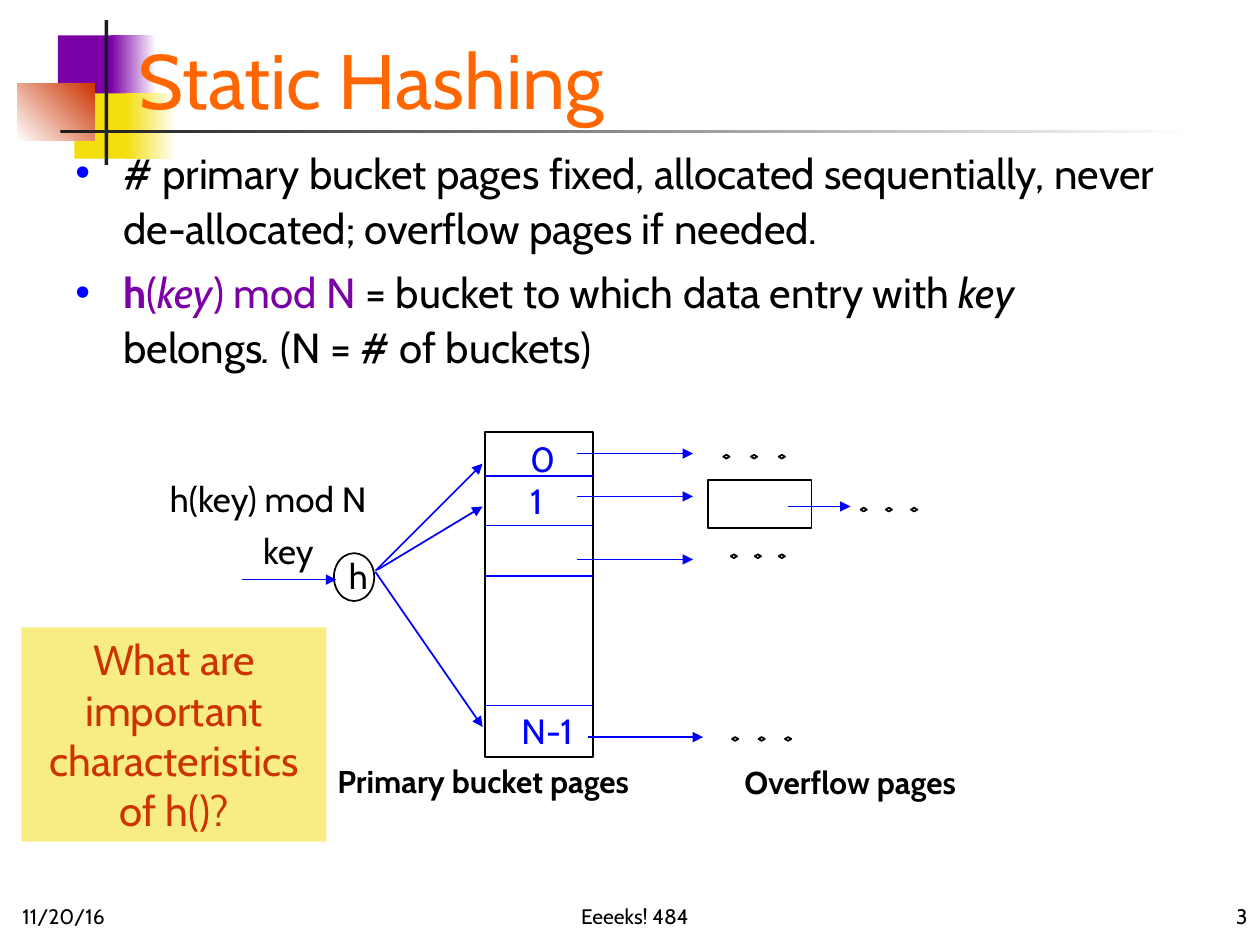
from lxml import etree
from pptx import Presentation
from pptx.dml.color import RGBColor
from pptx.enum.shapes import MSO_CONNECTOR, MSO_SHAPE
from pptx.enum.text import MSO_ANCHOR, MSO_AUTO_SIZE, PP_ALIGN
from pptx.oxml.ns import qn
from pptx.util import Inches, Pt

RECTANGLE, OVAL, DIAMOND = MSO_SHAPE.RECTANGLE, MSO_SHAPE.OVAL, MSO_SHAPE.DIAMOND
STRAIGHT = MSO_CONNECTOR.STRAIGHT
TOP, MIDDLE, BOTTOM = MSO_ANCHOR.TOP, MSO_ANCHOR.MIDDLE, MSO_ANCHOR.BOTTOM
LEFT, CENTER, RIGHT = PP_ALIGN.LEFT, PP_ALIGN.CENTER, PP_ALIGN.RIGHT
FIT_SHAPE = MSO_AUTO_SIZE.SHAPE_TO_FIT_TEXT
BLACK, WHITE, BLUE, PURPLE = "000000", "FFFFFF", "0000FF", "7B00A6"
YELLOW, RED, ORANGE, CHARCOAL = "F3DD0D", "CC3300", "FF6600", "1C1C1C"


def color(value):
    return RGBColor.from_string(value)


def write(para, text, size, value, bold=False, italic=False):
    span = para.add_run()
    span.text = text
    font = span.font
    font.name, font.size = "Cabin", Pt(size)
    font.bold, font.italic = bold, italic
    font.color.rgb = color(value)


deck = Presentation()
deck.slide_width, deck.slide_height = Inches(10), Inches(7.5)
slide = deck.slides.add_slide(deck.slide_layouts[6])
shapes = slide.shapes

ornaments = [
    (0.46, 0.28, 0.48, 0.52, [PURPLE], 0),
    (0.88, 0.28, 0.36, 0.52, [PURPLE, WHITE], 0),
    (0.59, 0.74, 0.46, 0.52, [YELLOW], 0),
    (1, 0.74, 0.4, 0.52, [YELLOW, WHITE], 0),
    (0.14, 0.66, 0.61, 0.46, [WHITE, RED], 45),
    (0.83, 0.16, 0.03, 1.15, [CHARCOAL], 0),
    (0.48, 1.03, 9, 0.03, [CHARCOAL, WHITE], 0),
]
for left, top, width, height, fills, angle in ornaments:
    ornament = shapes.add_shape(RECTANGLE, Inches(left), Inches(top), Inches(width), Inches(height))
    ornament.shadow.inherit = False
    ornament.line.fill.background()
    if len(fills) == 1:
        ornament.fill.solid()
        ornament.fill.fore_color.rgb = color(fills[0])
    else:
        ornament.fill.gradient()
        ornament.fill.gradient_angle = angle
        for stop, value, position in zip(ornament.fill.gradient_stops, fills, (0, 1)):
            stop.color.rgb = color(value)
            stop.position = position

frames = [
    ("11/20/16", 0.08, 6.92, 2.08, 0.5, 12, BLACK, BOTTOM, LEFT),
    ("Eeeeks! 484", 2.33, 6.92, 5.42, 0.5, 12, BLACK, BOTTOM, CENTER),
    ("3", 7.92, 6.92, 2.08, 0.5, 12, BLACK, BOTTOM, RIGHT),
    ("Static Hashing", 1, 0, 8.83, 1.25, 44, ORANGE, MIDDLE, LEFT),
]
for text, left, top, width, height, size, value, anchor, align in frames:
    box = shapes.add_textbox(Inches(left), Inches(top), Inches(width), Inches(height))
    box.text_frame.word_wrap = True
    box.text_frame.vertical_anchor = anchor
    para = box.text_frame.paragraphs[0]
    para.alignment = align
    write(para, text, size, value)

bullets = [
    [("# primary bucket pages fixed, allocated sequentially, never de-allocated; overflow pages if needed.",
      BLACK, False, False)],
    [
        ("h", PURPLE, True, False),
        ("(", PURPLE, False, False),
        ("key", PURPLE, False, True),
        (") mod N ", PURPLE, False, False),
        ("= bucket to which data entry with", BLACK, False, False),
        (" key ", BLACK, False, True),
        ("belongs", BLACK, False, False),
        (". ", BLACK, False, True),
        ("(N = # of buckets)", BLACK, False, False),
    ],
]
body = shapes.add_textbox(Inches(0.5), Inches(1.08), Inches(8.83), Inches(2.25)).text_frame
body.word_wrap = True
body.vertical_anchor = TOP
for index, spans in enumerate(bullets):
    para = body.add_paragraph() if index else body.paragraphs[0]
    para.line_spacing = 1.1
    para.space_before = Pt(4.8)
    properties = para._p.get_or_add_pPr()
    properties.set("marL", str(Inches(0.38)))
    properties.set("indent", str(Inches(-0.38)))
    bullet_color = etree.SubElement(properties, qn("a:buClr"))
    etree.SubElement(bullet_color, qn("a:srgbClr"), val=BLUE)
    etree.SubElement(properties, qn("a:buFont"), typeface="Arial")
    etree.SubElement(properties, qn("a:buChar"), char="•")
    for text, value, bold, italic in spans:
        write(para, text, 24, value, bold, italic)

outlines = [
    (RECTANGLE, 5.62, 3.81, 0.82, 0.38),
    (OVAL, 2.65, 4.39, 0.32, 0.38),
    (RECTANGLE, 3.85, 3.43, 0.86, 2.58),
]
for start, gap, top in [(5.74, 0.22, 3.61), (6.83, 0.2, 4.03), (5.8, 0.19, 4.4), (5.81, 0.21, 5.85)]:
    outlines += [(DIAMOND, start + step * gap, top, 0.05, 0.03) for step in range(3)]
for kind, left, top, width, height in outlines:
    outline = shapes.add_shape(kind, Inches(left), Inches(top), Inches(width), Inches(height))
    outline.shadow.inherit = False
    outline.fill.background()
    outline.line.color.rgb = color(BLACK)
    outline.line.width = Pt(1)

labels = [
    ("h(key) mod N", 1.25, 3.74, 1.89, 0.43, 20, BLACK),
    ("h", 2.67, 4.35, 0.35, 0.43, 20, BLACK),
    ("key", 1.99, 4.15, 0.62, 0.43, 20, BLACK),
    ("Primary bucket pages", 2.58, 6, 2.93, 0.4, 18, BLACK),
    ("Overflow pages", 5.81, 6.01, 2.15, 0.4, 18, BLACK),
    ("1", 4.11, 3.76, 0.35, 0.43, 20, BLUE),
    ("0", 4.11, 3.42, 0.35, 0.43, 20, BLUE),
    ("N-1", 4.04, 5.58, 0.64, 0.43, 20, BLUE),
]
for text, left, top, width, height, size, value in labels:
    label = shapes.add_textbox(Inches(left), Inches(top), Inches(width), Inches(height))
    label.text_frame.word_wrap = False
    label.text_frame.auto_size = FIT_SHAPE
    write(label.text_frame.paragraphs[0], text, size, value, bold=size == 18)

lines = [
    (3, 4.52, 3.83, 4.02, True),
    (2.98, 4.53, 3.83, 3.68, True),
    (1.92, 4.6, 2.67, 4.6, True),
    (2.98, 4.54, 3.83, 5.77, True),
    (4.67, 5.85, 5.58, 5.85, True),
    (6.25, 4.02, 6.75, 4.02, True),
]
lines += [(4.58, height, 5.5, height, True) for height in (3.6, 3.94, 4.44)]
lines += [(3.85, height, 4.71, height, False) for height in (3.78, 4.17, 4.57, 5.6)]
for x1, y1, x2, y2, arrow in lines:
    line = shapes.add_connector(STRAIGHT, Inches(x1), Inches(y1), Inches(x2), Inches(y2))
    line.line.color.rgb = color(BLUE)
    line.line.width = Pt(1)
    if arrow:
        etree.SubElement(line.line._get_or_add_ln(), qn("a:tailEnd"), type="triangle")
    etree.SubElement(line._element.spPr, qn("a:effectLst"))

question = shapes.add_shape(RECTANGLE, Inches(0.17), Inches(4.98), Inches(2.42), Inches(1.7))
question.shadow.inherit = False
question.line.fill.background()
question.fill.solid()
question.fill.fore_color.rgb = color(YELLOW)
tint = question._element.spPr.find(qn("a:solidFill"))[0]
etree.SubElement(tint, qn("a:alpha"), val="50000")
question.text_frame.vertical_anchor = MIDDLE
question.text_frame.auto_size = FIT_SHAPE
for index, text in enumerate(["What are", "important", "characteristics", "of h()?"]):
    para = question.text_frame.add_paragraph() if index else question.text_frame.paragraphs[0]
    para.alignment = CENTER
    write(para, text, 24, RED)

deck.save("out.pptx")
